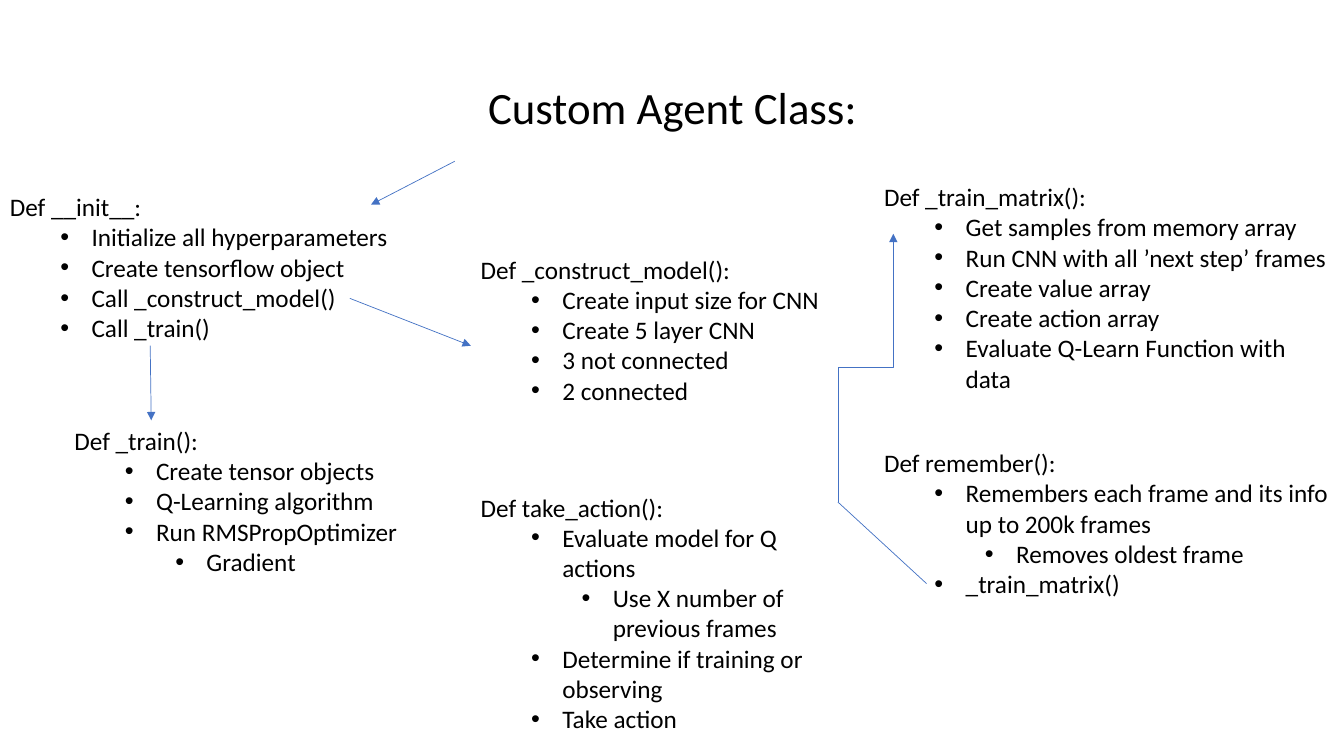
from lxml.etree import SubElement
from pptx import Presentation
from pptx.dml.color import RGBColor
from pptx.enum.shapes import MSO_CONNECTOR
from pptx.enum.text import MSO_AUTO_SIZE, PP_ALIGN
from pptx.oxml.ns import qn
from pptx.util import Inches, Pt

COLORS = {"text": "000000", "arrow": "4472C4"}
FONT = "Calibri"

# Each method: box (left, top, width, height), heading, (level, bullet) pairs
METHODS = [
    ((0, 1.85, 4.67, 1.92), "Def __init__:", [
        (1, "Initialize all hyperparameters"),
        (1, "Create tensorflow object"),
        (1, "Call _construct_model()"),
        (1, "Call _train()")]),
    ((4.67, 2.47, 4, 1.92), "Def _construct_model():", [
        (1, "Create input size for CNN"),
        (1, "Create 5 layer CNN"),
        (1, "3 not connected"),
        (1, "2 connected")]),
    ((0.64, 4.17, 3.56, 1.62), "Def _train():", [
        (1, "Create tensor objects"),
        (1, "Q-Learning algorithm"),
        (1, "Run RMSPropOptimizer"),
        (2, "Gradient")]),
    ((8.67, 1.75, 4.67, 2.52), "Def _train_matrix():", [
        (1, "Get samples from memory array"),
        (1, "Run CNN with all ’next step’ frames"),
        (1, "Create value array"),
        (1, "Create action array"),
        (1, "Evaluate Q-Learn Function with data")]),
    ((8.67, 4.39, 4.67, 1.62), "Def remember():", [
        (1, "Remembers each frame and its info up to 200k frames"),
        (2, "Removes oldest frame"),
        (1, "_train_matrix()")]),
    ((4.67, 4.83, 3.4, 2.52), "Def take_action():", [
        (1, "Evaluate model for Q actions"),
        (2, "Use X number of previous frames"),
        (1, "Determine if training or observing"),
        (1, "Take action")]),
]

# Straight calls between methods: start, end, has arrowhead
CALLS = [
    ((4.51, 1.6), (3.68, 2.03), True),
    ((3.47, 2.96), (4.67, 3.43), True),
    ((1.49, 3.43), (1.5, 4.17), True),
    ((9.19, 5.79), (8.31, 4.98), False),
]


def add_text_box(slide, box):
    """Add an empty wrapping text box and return its text frame."""
    tf = slide.shapes.add_textbox(*map(Inches, box)).text_frame
    tf.word_wrap = True
    tf.auto_size = MSO_AUTO_SIZE.SHAPE_TO_FIT_TEXT
    return tf


def write(p, text, size):
    """Put text in a paragraph and format its run."""
    p.text = text
    font = p.runs[0].font
    font.name, font.size = FONT, Pt(size)
    font.color.rgb = RGBColor.from_string(COLORS["text"])


def add_title(slide, box, text):
    """Add the centred slide title."""
    p = add_text_box(slide, box).paragraphs[0]
    write(p, text, 32)
    p.alignment = PP_ALIGN.CENTER


def add_bullet(p, level):
    """Indent a paragraph to its level and give it a round bullet."""
    p.level = level
    pPr = p._p.get_or_add_pPr()
    pPr.set("marL", str(Inches(0.31 + 0.5 * level)))
    pPr.set("indent", str(Inches(-0.31)))
    SubElement(pPr, qn("a:buFont"), typeface="Arial")
    SubElement(pPr, qn("a:buChar"), char="•")


def add_method(slide, box, heading, bullets):
    """Add one method heading with its bulleted steps."""
    tf = add_text_box(slide, box)
    write(tf.paragraphs[0], heading, 18)
    for level, text in bullets:
        p = tf.add_paragraph()
        write(p, text, 18)
        add_bullet(p, level)


def add_call(slide, start, end, arrow=True, kind=MSO_CONNECTOR.STRAIGHT):
    """Add a thin connector from start to end, with an optional arrowhead."""
    sp = slide.shapes.add_connector(kind, *map(Inches, start + end))
    sp.line.color.rgb = RGBColor.from_string(COLORS["arrow"])
    sp.line.width = Pt(0.5)
    spPr = sp._element.spPr
    if arrow:
        SubElement(spPr.find(qn("a:ln")), qn("a:tailEnd"), type="triangle")
    SubElement(spPr, qn("a:effectLst"))
    return sp


def add_upright_elbow(slide, start, end):
    """Add an elbow that leaves and arrives vertically, by a quarter turn."""
    (x1, y1), (x2, y2) = start, end
    cx, cy = (x1 + x2) / 2, (y1 + y2) / 2
    dx, dy = y1 - cy, cx - x1
    sp = add_call(slide, (cx + dx, cy + dy), (cx - dx, cy - dy),
                  kind=MSO_CONNECTOR.ELBOW)
    sp._element.spPr.find(qn("a:xfrm")).set("rot", str(90 * 60000))


def build_agent_slide(prs):
    """Build the slide that outlines the agent class and its calls."""
    slide = prs.slides.add_slide(prs.slide_layouts[6])
    add_title(slide, (4.67, 0.74, 4, 0.64), "Custom Agent Class:")
    for method in METHODS:
        add_method(slide, *method)
    for call in CALLS:
        add_call(slide, *call)
    add_upright_elbow(slide, (8.31, 4.98), (8.86, 2.32))


prs = Presentation()
prs.slide_width, prs.slide_height = Inches(13.33), Inches(7.5)
build_agent_slide(prs)
prs.save("out.pptx")
